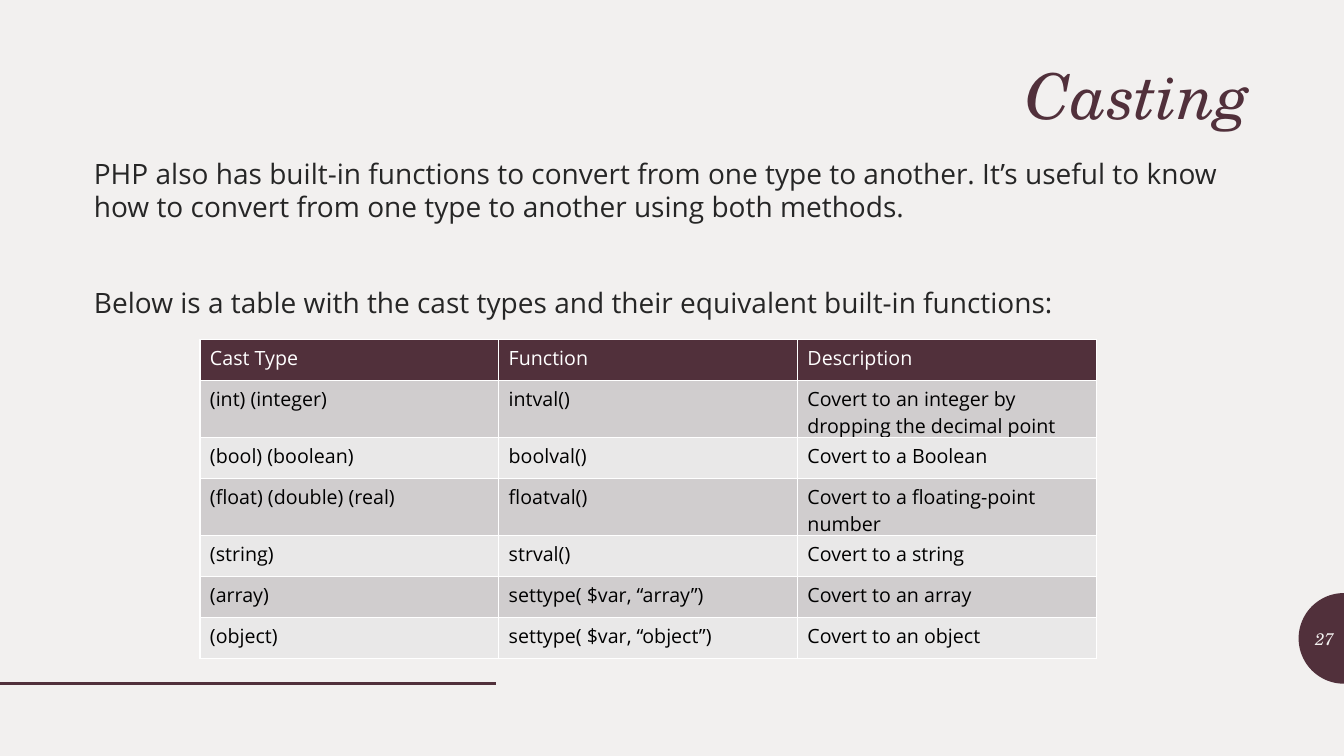
from math import cos, pi, sin

from lxml.etree import SubElement
from pptx import Presentation
from pptx.dml.color import RGBColor
from pptx.enum.text import MSO_ANCHOR, PP_ALIGN
from pptx.oxml.ns import qn
from pptx.util import Inches, Pt

COLORS = {
    "paper": "F2F0EF", "plum": "51303B", "ink": "262626", "black": "000000",
    "white": "FFFFFF", "band_dark": "D0CDCE", "band_light": "E9E8E8",
}
SERIF, SANS = "TeX Gyre Schola", "Open Sans"
COLUMNS, ROWS = 16, 9

INTRO = ("PHP also has built-in functions to convert from one type to another. "
         "It’s useful to know how to convert from one type to another using both methods.")
LEAD_IN = "Below is a table with the cast types and their equivalent built-in functions:"
CASTS = [
    ("Cast Type", "Function", "Description"),
    ("(int) (integer)", "intval()", "Covert to an integer by dropping the decimal point"),
    ("(bool) (boolean)", "boolval()", "Covert to a Boolean"),
    ("(float) (double) (real)", "floatval()", "Covert to a floating-point number"),
    ("(string)", "strval()", "Covert to a string"),
    ("(array)", "settype( $var, “array”)", "Covert to an array"),
    ("(object)", "settype( $var, “object”)", "Covert to an object"),
]


def rgb(name):
    return RGBColor.from_string(COLORS[name])


class Deck:
    """Draws on the current slide; lengths are columns and rows of a 16 by 9 grid."""

    def __init__(self):
        self.prs = Presentation()
        self.prs.slide_width, self.prs.slide_height = Inches(13.33), Inches(7.5)
        self.slide = self.prs.slides.add_slide(self.prs.slide_layouts[6])
        fill = self.slide.background.fill
        fill.solid()
        fill.fore_color.rgb = rgb("paper")

    def x(self, columns):
        return round(self.prs.slide_width * columns / COLUMNS)

    def y(self, rows):
        return round(self.prs.slide_height * rows / ROWS)

    def box(self, left, top, width, height):
        return self.x(left), self.y(top), self.x(width), self.y(height)

    def run(self, p, text, size, font, color, italic=False):
        r = p.add_run()
        r.text = text
        r.font.size, r.font.name = Pt(size), font
        r.font.bold, r.font.italic = False, italic
        r.font.color.rgb = rgb(color)

    def text(self, at, paragraphs, size, font, color, italic=False,
             align=PP_ALIGN.LEFT, anchor=MSO_ANCHOR.TOP, spacing=1.0):
        """Paragraphs are pairs of text and space before in points."""
        tf = self.slide.shapes.add_textbox(*self.box(*at)).text_frame
        tf.word_wrap, tf.vertical_anchor = True, anchor
        for i, (text, before) in enumerate(paragraphs):
            p = tf.add_paragraph() if i else tf.paragraphs[0]
            p.alignment, p.line_spacing, p.space_before = align, spacing, Pt(before)
            self.run(p, text, size, font, color, italic)

    def left_half_disc(self, center, middle, radius, color, steps=48):
        cx, cy, r = self.x(center), self.y(middle), self.x(radius)
        angles = [pi / 2 + pi * i / steps for i in range(steps + 1)]
        points = [(round(cx + r * cos(a)), round(cy + r * sin(a))) for a in angles]
        builder = self.slide.shapes.build_freeform(*points[0])
        builder.add_line_segments(points[1:], close=True)
        sp = builder.convert_to_shape()
        sp.shadow.inherit = False
        sp.fill.solid()
        sp.fill.fore_color.rgb = rgb(color)
        sp.line.fill.background()

    def rule(self, start, end, row, color, weight):
        line = self.slide.shapes.add_connector(
            1, self.x(start), self.y(row), self.x(end), self.y(row))
        line.line.color.rgb, line.line.width = rgb(color), Pt(weight)
        SubElement(line._element.spPr, qn("a:effectLst"))

    def borders(self, cell, color, weight):
        tc_pr = cell._tc.get_or_add_tcPr()
        for i, side in enumerate(("a:lnL", "a:lnR", "a:lnT", "a:lnB")):
            ln = tc_pr.makeelement(qn(side), {"w": str(Pt(weight))})
            solid = SubElement(ln, qn("a:solidFill"))
            SubElement(solid, qn("a:srgbClr"), val=COLORS[color])
            tc_pr.insert(i, ln)

    def table(self, at, data):
        table = self.slide.shapes.add_table(len(data), len(data[0]), *self.box(*at)).table
        for i, row in enumerate(data):
            fill = ("band_dark" if i % 2 else "band_light") if i else "plum"
            for j, text in enumerate(row):
                cell = table.cell(i, j)
                cell.fill.solid()
                cell.fill.fore_color.rgb = rgb(fill)
                self.borders(cell, "white", 1)
                self.run(cell.text_frame.paragraphs[0], text, 14, SANS,
                         "black" if i else "white")


def main():
    deck = Deck()
    deck.left_half_disc(16, 7.6, 0.54, "plum")
    deck.rule(0, 5.9, 8.14, "plum", 2)
    deck.text((1, 0.73, 14, 0.91), [("Casting", 0)], 45, SERIF, "plum", italic=True,
              align=PP_ALIGN.RIGHT, anchor=MSO_ANCHOR.MIDDLE, spacing=0.9)
    deck.text((1, 1.82, 14, 6.01), [(INTRO, 9), (LEAD_IN, 45)], 20, SANS, "ink",
              spacing=0.98)
    deck.text((15.46, 7.36, 0.54, 0.48), [("27", 0)], 12, SERIF, "paper", italic=True,
              align=PP_ALIGN.RIGHT, anchor=MSO_ANCHOR.MIDDLE)
    deck.table((2.38, 4.04, 10.67, 3.42), CASTS)
    deck.prs.save("out.pptx")


if __name__ == "__main__":
    main()
